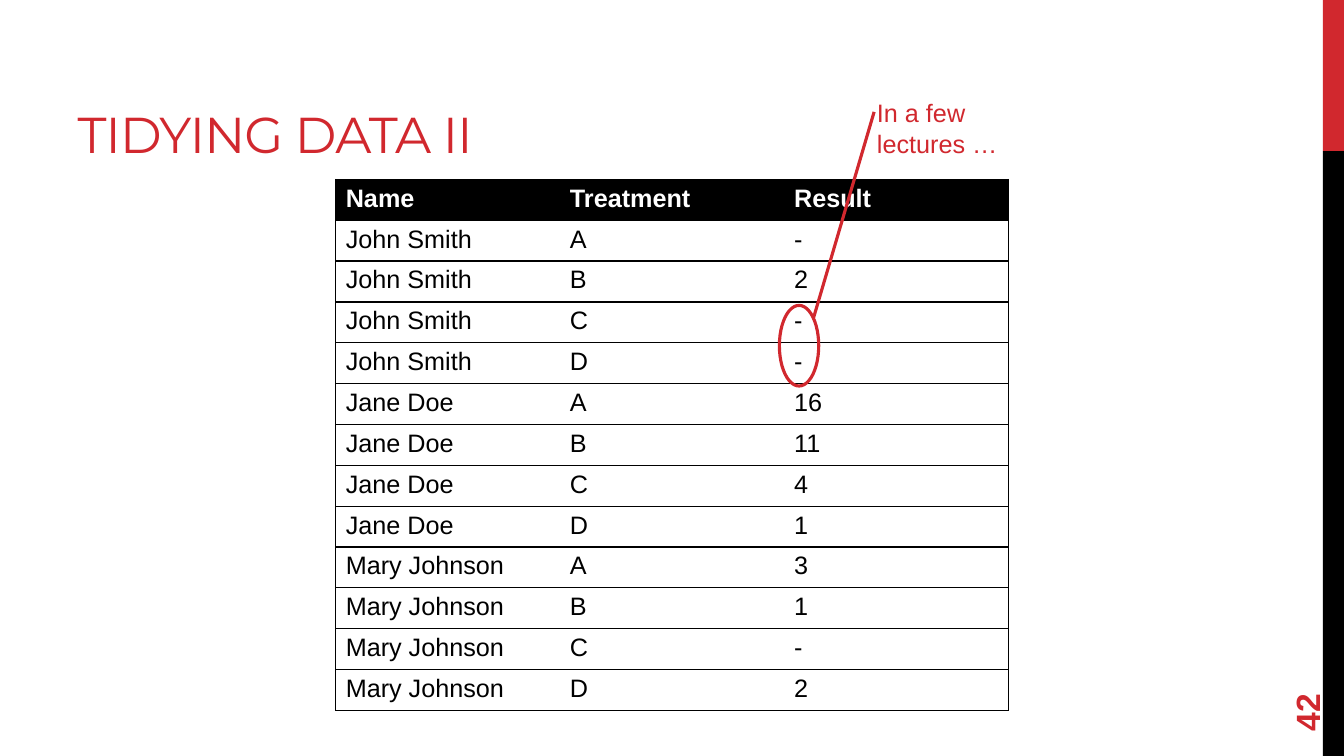
from itertools import product

from lxml.etree import SubElement
from pptx import Presentation
from pptx.dml.color import RGBColor
from pptx.enum.shapes import MSO_CONNECTOR as CONNECTOR, MSO_SHAPE as SHAPE
from pptx.enum.text import MSO_ANCHOR as ANCHOR, PP_ALIGN as ALIGN
from pptx.oxml.ns import qn
from pptx.util import Emu, Pt

PX = 9144
RED, BLACK, WHITE = "D1282E", "000000", "FFFFFF"
HEADERS = ["Name", "Treatment", "Result"]
RESULTS = {
    "John Smith": ["-", "2", "-", "-"],
    "Jane Doe": ["16", "11", "4", "1"],
    "Mary Johnson": ["3", "1", "-", "2"],
}


def px(*lengths):
    """Turn px lengths into a list of EMU."""
    return [Emu(length * PX) for length in lengths]


def color(hex_string):
    """Turn a hex string into a colour."""
    return RGBColor.from_string(hex_string)


def write(frame, text, size=18, font="Arial", fill=BLACK, bold=False,
          anchor=ANCHOR.TOP, spacing=None):
    """Write one formatted paragraph into a text frame."""
    frame.word_wrap = True
    frame.vertical_anchor = anchor
    paragraph = frame.paragraphs[0]
    paragraph.alignment = ALIGN.LEFT
    run = paragraph.add_run()
    run.text = text
    run.font.size, run.font.name, run.font.bold = Pt(size), font, bold
    run.font.color.rgb = color(fill)
    if spacing is not None:
        run.font._element.set("spc", str(spacing))


def add_side_bar(slide, left, top, width, height):
    """Draw the red and black bar down the right edge."""
    red_height = height // 5
    parts = [(RED, top, red_height), (BLACK, top + red_height, height - red_height)]
    for fill, part_top, part_height in parts:
        shape = slide.shapes.add_shape(
            SHAPE.RECTANGLE, *px(left, part_top, width, part_height))
        shape.shadow.inherit = False
        shape.fill.solid()
        shape.fill.fore_color.rgb = color(fill)
        shape.line.fill.background()


def add_title(slide, left, top, width, height):
    """Place and format the title placeholder."""
    title = slide.shapes.title
    title.left, title.top, title.width, title.height = px(left, top, width, height)
    write(title.text_frame, "TIDYING DATA II", size=36, font="Montserrat",
          fill=RED, anchor=ANCHOR.BOTTOM, spacing=-60)


def add_page_number(slide, left, top, width, height):
    """Add the page number, turned to read upwards."""
    box = slide.shapes.add_textbox(*px(left, top, width, height))
    box.rotation = 270
    write(box.text_frame, "42", size=24, fill=RED, bold=True, anchor=ANCHOR.MIDDLE)


def set_borders(cell, left, right):
    """Rule a cell above and below, and at the sides asked for."""
    properties = cell._tc.get_or_add_tcPr()
    for tag, shown in (("lnL", left), ("lnR", right), ("lnT", True), ("lnB", True)):
        line = SubElement(properties, qn(f"a:{tag}"), w=str(Pt(1)))
        if shown:
            fill = SubElement(line, qn("a:solidFill"))
            SubElement(fill, qn("a:srgbClr"), val=BLACK)
        else:
            SubElement(line, qn("a:noFill"))


def add_results_table(slide, left, top, width, height):
    """Add the table with one row per person and treatment."""
    rows = [HEADERS] + [[name, treatment, result]
                        for name, results in RESULTS.items()
                        for treatment, result in zip("ABCD", results)]
    last = len(HEADERS) - 1
    table = slide.shapes.add_table(
        len(rows), len(HEADERS), *px(left, top, width, height)).table
    table.horz_banding = False
    for row, column in product(range(len(rows)), range(len(HEADERS))):
        cell = table.cell(row, column)
        is_header = row == 0
        set_borders(cell, left=column == 0, right=column == last)
        if is_header:
            cell.fill.solid()
            cell.fill.fore_color.rgb = color(BLACK)
        else:
            cell.fill.background()
        write(cell.text_frame, rows[row][column],
              fill=WHITE if is_header else BLACK, bold=is_header)


def add_callout(slide, left, top, width, height):
    """Circle two missing results and tie them to a red remark."""
    group = slide.shapes.add_group_shape()
    ellipse = group.shapes.add_shape(
        SHAPE.OVAL, *px(left, top + height - 80, 39, 80))
    ellipse.shadow.inherit = False
    ellipse.fill.background()
    connector = group.shapes.add_connector(
        CONNECTOR.STRAIGHT, *px(left + 34, top + height - 68, left + 94, top + 19))
    SubElement(connector._element.spPr, qn("a:effectLst"))
    for outlined in (ellipse, connector):
        outlined.line.color.rgb = color(RED)
        outlined.line.width = Pt(2.25)
    remark = group.shapes.add_textbox(*px(left + width - 156, top, 156, 71))
    write(remark.text_frame, "In a few lectures …", fill=RED)


def main():
    """Build the slide and save it."""
    presentation = Presentation()
    presentation.slide_width, presentation.slide_height = px(1333, 750)
    slide = presentation.slides.add_slide(presentation.slide_layouts[5])
    add_side_bar(slide, 1312, 0, 21, 750)
    add_title(slide, 67, 17, 844, 150)
    add_page_number(slide, 1224, 637, 144, 53)
    add_results_table(slide, 333, 178, 667, 527)
    add_callout(slide, 773, 92, 243, 291)
    presentation.save("out.pptx")


if __name__ == "__main__":
    main()
